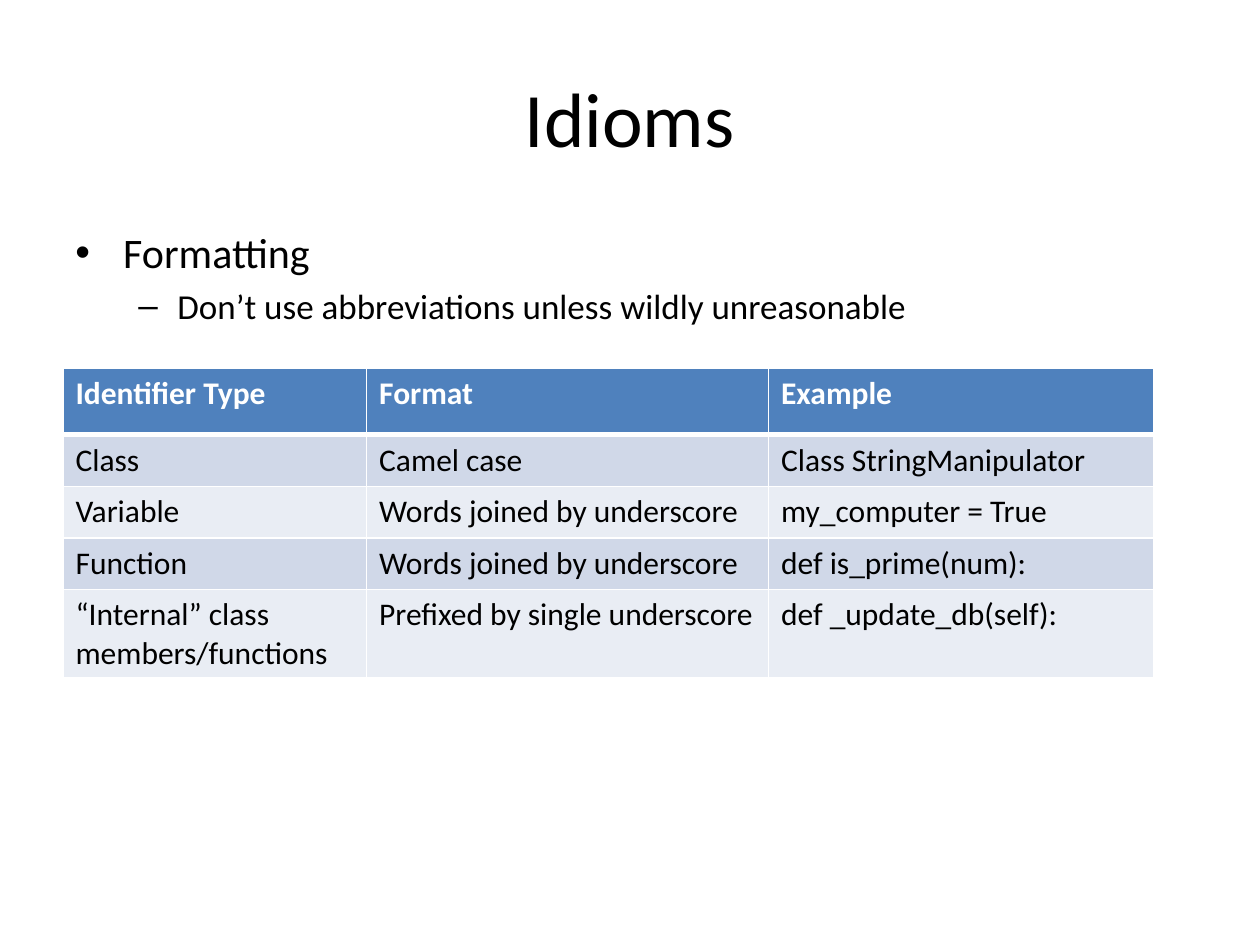
"""Build the Idioms slide on identifier formatting."""
import pptx
import pptx.dml.color
import pptx.enum.text
import pptx.oxml
import pptx.oxml.ns
import pptx.util
from pptx.util import Inches

HEADINGS = ("Identifier Type", "Format", "Example")
CONVENTIONS = (
    ("Class", "Camel case", "Class StringManipulator"),
    ("Variable", "Words joined by underscore", "my_computer = True"),
    ("Function", "Words joined by underscore", "def is_prime(num):"),
    ("“Internal” class members/functions", "Prefixed by single underscore", "def _update_db(self):"),
)
ADVICE = (
    ("Formatting", 24, "•", 0.38, 0.38),
    ("Don’t use abbreviations unless wildly unreasonable", 20, "–", 0.81, 0.31),
)


def color(value):
    return pptx.dml.color.RGBColor.from_string(value)


class IdiomsSlide:
    font = "Calibri"
    ink = "000000"
    paper = "FFFFFF"
    header_fill = "4F81BD"
    bands = ("D0D8E8", "E9EDF4")

    def __init__(self, slide):
        self.slide = slide

    def style(self, paragraph, size, ink=None, bold=False):
        paragraph.font.name = self.font
        paragraph.font.size = pptx.util.Pt(size)
        paragraph.font.bold = bold
        paragraph.font.color.rgb = color(ink or self.ink)

    def text_frame(self, left, top, width, height):
        box = self.slide.shapes.add_textbox(*map(Inches, (left, top, width, height)))
        box.text_frame.word_wrap = True
        return box.text_frame

    def title(self, text, *place):
        frame = self.text_frame(*place)
        frame.vertical_anchor = pptx.enum.text.MSO_ANCHOR.MIDDLE
        heading = frame.paragraphs[0]
        heading.text = text
        heading.alignment = pptx.enum.text.PP_ALIGN.CENTER
        self.style(heading, 44)

    def bullets(self, items, *place):
        frame = self.text_frame(*place)
        for level, (text, size, mark, margin, hanging) in enumerate(items):
            point = frame.add_paragraph() if level else frame.paragraphs[0]
            point.text = text
            point.level = level
            point.space_before = pptx.util.Pt(size * 0.2)
            self.style(point, size)
            properties = point._p.get_or_add_pPr()
            properties.set("marL", str(Inches(margin)))
            properties.set("indent", str(-Inches(hanging)))
            namespace = pptx.oxml.ns.nsdecls("a")
            for bullet in (f'<a:buFont {namespace} typeface="Arial"/>',
                           f'<a:buChar {namespace} char="{mark}"/>'):
                properties.insert_element_before(
                    pptx.oxml.parse_xml(bullet), "a:tabLst", "a:defRPr", "a:extLst")

    def borders(self, cell, **widths):
        properties = cell._tc.get_or_add_tcPr()
        for side in "LRTB":
            width = pptx.util.Pt(widths.get(side, 1))
            properties.append(pptx.oxml.parse_xml(
                f'<a:ln{side} {pptx.oxml.ns.nsdecls("a")} w="{width}"><a:solidFill>'
                f'<a:srgbClr val="{self.paper}"/></a:solidFill></a:ln{side}>'))

    def table(self, rows, left, top, column_widths, row_heights):
        size = (sum(column_widths), sum(row_heights))
        table = self.slide.shapes.add_table(
            len(rows), len(column_widths), *map(Inches, (left, top, *size))).table
        for column, width in zip(table.columns, column_widths):
            column.width = Inches(width)
        for index, (row, height, texts) in enumerate(zip(table.rows, row_heights, rows)):
            row.height = Inches(height)
            is_header = index == 0
            heavy = {0: {"B": 3}, 1: {"T": 3}}.get(index, {})
            for cell, text in zip(row.cells, texts):
                cell.text = text
                self.style(cell.text_frame.paragraphs[0], 18,
                           self.paper if is_header else self.ink, is_header)
                self.borders(cell, **heavy)
                cell.fill.solid()
                cell.fill.fore_color.rgb = color(
                    self.header_fill if is_header else self.bands[(index - 1) % 2])


def main():
    deck = pptx.Presentation()
    deck.slide_width, deck.slide_height = Inches(10), Inches(7.5)
    idioms = IdiomsSlide(deck.slides.add_slide(deck.slide_layouts[6]))
    idioms.title("Idioms", 0.5, 0.3, 9, 1.25)
    idioms.bullets(ADVICE, 0.5, 1.75, 9, 4.95)
    idioms.table((HEADINGS, *CONVENTIONS), 0.5, 2.92,
                 (2.41, 3.19, 3.06), (0.53, *[0.41] * len(CONVENTIONS)))
    deck.save("out.pptx")


if __name__ == "__main__":
    main()
